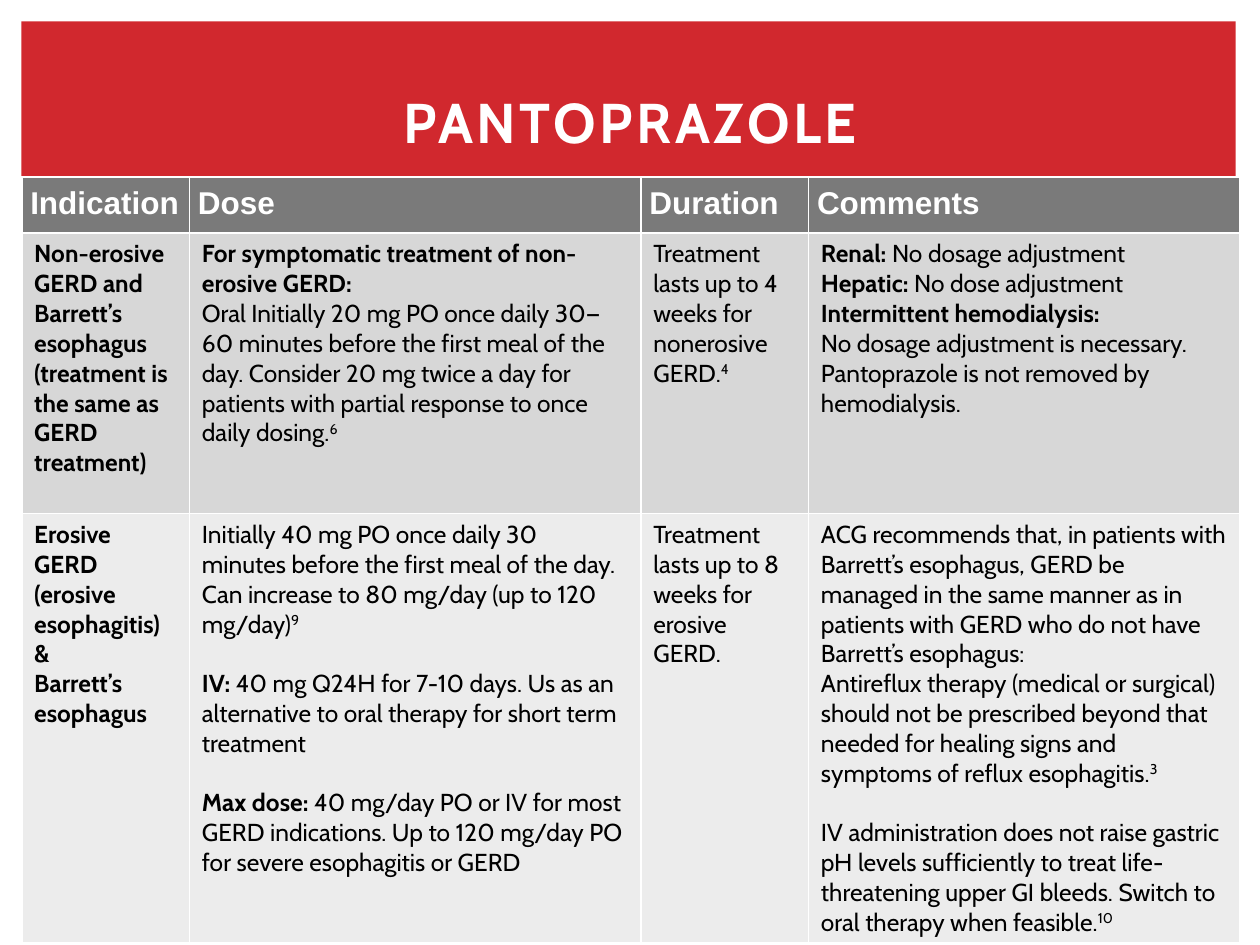
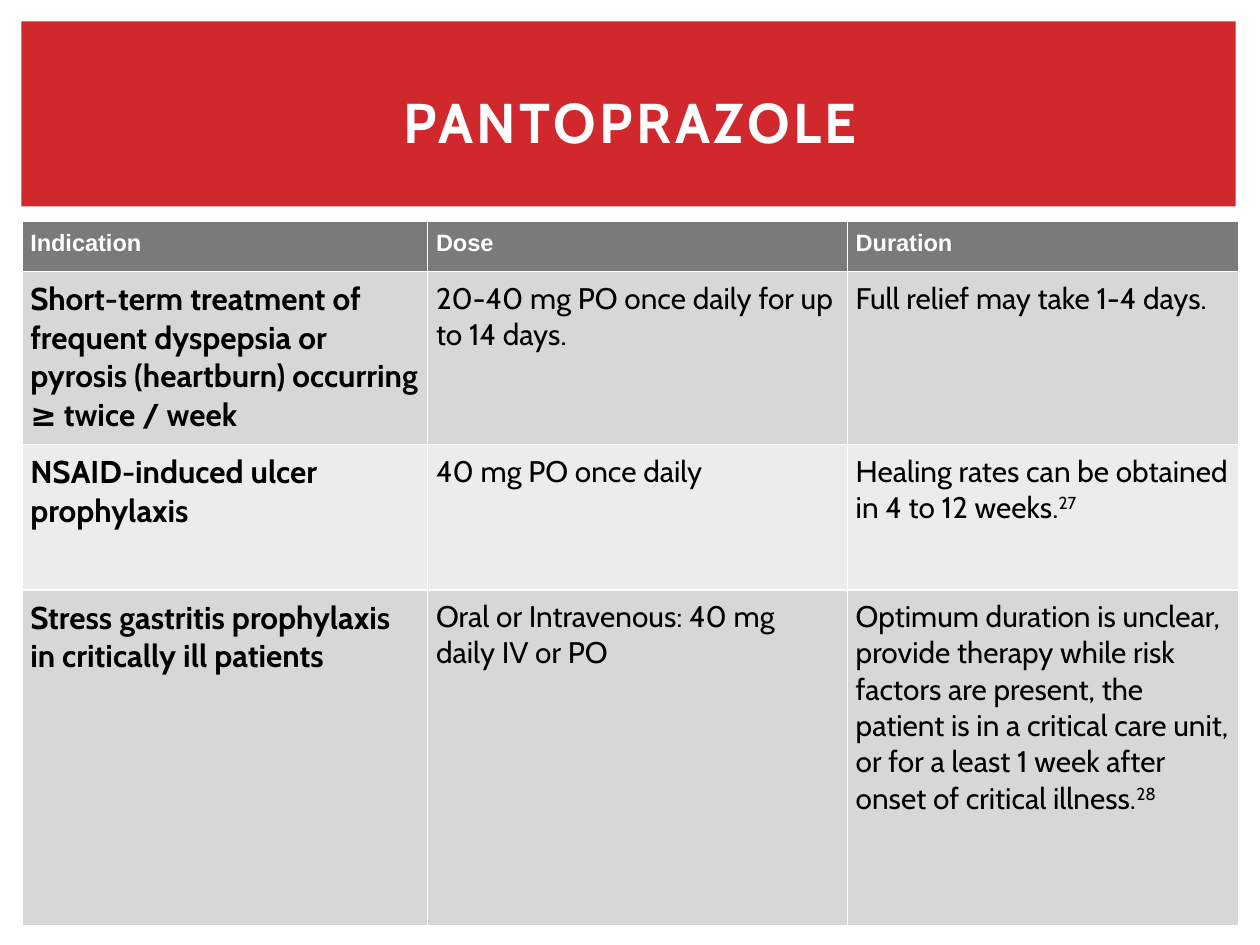
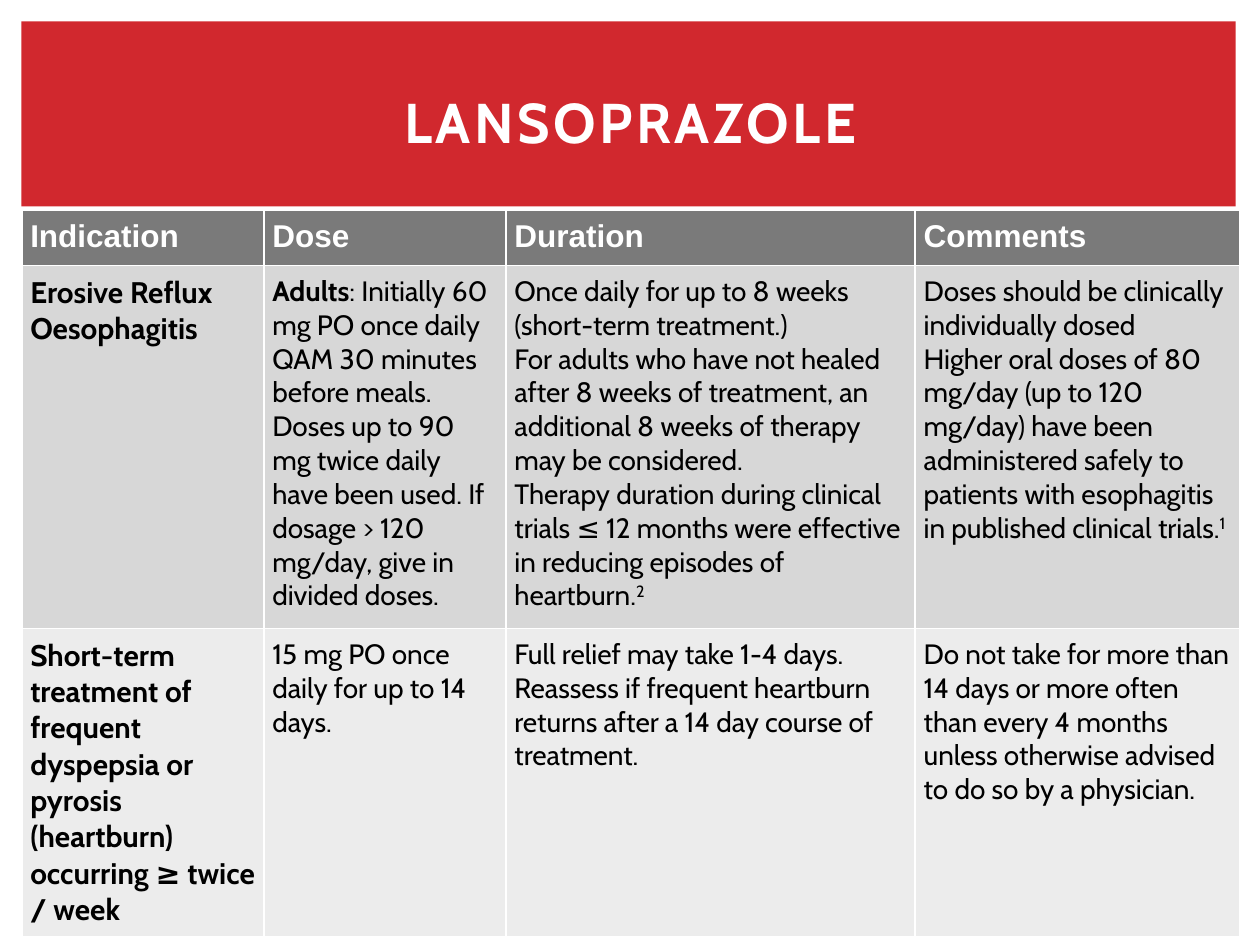
"""Build three slides of dosing tables for two acid-suppressing drugs."""
from lxml import etree
from pptx import Presentation
from pptx import util as u
from pptx.dml.color import RGBColor
from pptx.enum import shapes, text
from pptx.oxml.ns import qn

RED, WHITE, BLACK, GREY = "D1282E", "FFFFFF", "000000", "7A7A7A"
STRIPES = ("D7D7D7", "ECECEC")
HEAD_FONT, BODY_FONT = "Arial", "Cabin"
TABLE_LEFT = 0.44
BOLD, RAISED, GAP = "bold", "raised", "gap"

HEARTBURN = ("Short-term treatment of frequent dyspepsia or pyrosis (heartburn) "
             "occurring ≥ twice / week")

SLIDES = [
    {
        "title": "PANTOPRAZOLE", "top": 3.57,
        "columns": (3.38, 9.1, 3.38, 8.69), "rows": (1.07, 5.66, 8.65),
        "sizes": {"head": 18, "first": 14, "body": 14}, "insets": (0.25, 0.13),
        "head": ("Indication", "Dose", "Duration", "Comments"),
        "body": [
            [
                ["Non-erosive GERD and Barrett’s esophagus (treatment is the same as GERD treatment)"],
                [[("For symptomatic treatment of non-erosive GERD:", BOLD)],
                 ["Oral Initially 20 mg PO once daily 30—60 minutes before the first meal of the "
                  "day. Consider 20 mg twice a day for patients with partial response to once "
                  "daily dosing.", ("6", RAISED)]],
                [["Treatment lasts up to 4 weeks for nonerosive GERD.", ("4", RAISED)]],
                [[("Renal:", BOLD), " No dosage adjustment"],
                 [("Hepatic: ", BOLD), "No dose adjustment"],
                 [("Intermittent hemodialysis:", BOLD)],
                 "No dosage adjustment is necessary. Pantoprazole is not removed by hemodialysis."],
            ],
            [
                ["Erosive\nGERD\n(erosive esophagitis)", "&", "Barrett’s esophagus"],
                [["Initially 40 mg PO once daily 30\nminutes before the first meal of the day. "
                  "Can increase to 80 mg/day (up to 120 mg/day)", ("9", RAISED)],
                 GAP,
                 [("IV: ", BOLD), "40 mg Q24H for 7-10 days. Us as an alternative to oral therapy "
                  "for short term treatment"],
                 GAP,
                 [("Max dose: ", BOLD), "40 mg/day PO or IV for most GERD indications. Up to "
                  "120 mg/day PO for severe esophagitis or GERD"]],
                ["Treatment lasts up to 8 weeks for erosive GERD."],
                ["ACG recommends that, in patients with Barrett’s esophagus, GERD be managed in the "
                 "same manner as in patients with GERD who do not have Barrett’s esophagus:",
                 ["Antireflux therapy (medical or surgical) should not be prescribed beyond that "
                  "needed for healing signs and symptoms of reflux esophagitis.", ("3", RAISED)],
                 GAP,
                 ["IV administration does not raise gastric pH levels sufficiently to treat "
                  "life-threatening upper GI bleeds. Switch to oral therapy when feasible.",
                  ("10", RAISED)]],
            ],
        ],
    },
    {
        "title": "PANTOPRAZOLE", "top": 4.46,
        "columns": (8.18, 8.46, 7.9), "rows": (1.01, 3.49, 2.93, 6.77),
        "sizes": {"head": 13.5, "first": 18, "body": 17}, "insets": (0.17, 0.18),
        "head": ("Indication", "Dose", "Duration"),
        "body": [
            [[HEARTBURN], ["20-40 mg PO once daily for up to 14 days."],
             ["Full relief may take 1-4 days."]],
            [["NSAID-induced ulcer prophylaxis"], ["40 mg PO once daily"],
             [["Healing rates can be obtained in 4 to 12 weeks.", ("27", RAISED)]]],
            [["Stress gastritis prophylaxis in critically ill patients"],
             ["Oral or Intravenous: 40 mg daily IV or PO"],
             [["Optimum duration is unclear, provide therapy while risk factors are present, the "
               "patient is in a critical care unit, or for a least 1 week after onset of critical "
               "illness.", ("28", RAISED)]]],
        ],
    },
    {
        "title": "LANSOPRAZOLE", "top": 4.23,
        "columns": (4.88, 4.88, 8.25, 6.55), "rows": (1.07, 7.32, 6.21),
        "sizes": {"head": 18, "first": 17, "body": 16}, "insets": (0.17, 0.18),
        "head": ("Indication", "Dose", "Duration", "Comments"),
        "body": [
            [
                ["Erosive Reflux Oesophagitis"],
                [[("Adults", BOLD), ": Initially 60 mg PO once daily QAM 30 minutes before meals. "
                  "Doses up to 90 mg twice daily have been used. If dosage > 120 mg/day, give in "
                  "divided doses."]],
                ["Once daily for up to 8 weeks (short-term treatment.)",
                 "For adults who have not healed after 8 weeks of treatment, an additional 8 weeks "
                 "of therapy may be considered.",
                 ["Therapy duration during clinical trials ≤ 12 months were effective in reducing "
                  "episodes of heartburn.", ("2", RAISED)]],
                ["Doses should be clinically individually dosed",
                 ["Higher oral doses of 80 mg/day (up to 120 mg/day) have been administered safely "
                  "to patients with esophagitis in published clinical trials.", ("1", RAISED)]],
            ],
            [
                [HEARTBURN],
                ["15 mg PO once daily for up to 14 days."],
                ["Full relief may take 1-4 days.",
                 "Reassess if frequent heartburn returns after a 14 day course of treatment."],
                ["Do not take for more than 14 days or more often than every 4 months unless "
                 "otherwise advised to do so by a physician."],
            ],
        ],
    },
]


def paint(target, color):
    target.solid()
    target.fore_color.rgb = RGBColor.from_string(color)


def add_span(para, words, font, size, color, bold):
    span = para.add_run()
    span.text = words
    span.font.name, span.font.size, span.font.bold = font, u.Pt(size), bold
    paint(span.font.fill, color)
    return span


def add_title(page, title):
    band = page.shapes.add_shape(shapes.MSO_SHAPE.RECTANGLE,
                                 u.Cm(0.43), u.Cm(0.43), u.Cm(24.48), u.Cm(3.73))
    band.shadow.inherit = False
    paint(band.fill, RED)
    band.line.fill.background()
    box = page.shapes.add_textbox(u.Cm(1.06), u.Cm(0.98), u.Cm(23.3), u.Cm(2.93))
    frame = box.text_frame
    frame.word_wrap = True
    frame.vertical_anchor = text.MSO_ANCHOR.MIDDLE
    para = frame.paragraphs[0]
    para.alignment = text.PP_ALIGN.CENTER
    span = add_span(para, title, BODY_FONT, 32, WHITE, True)
    span.font._element.set("spc", "200")


def style_cell(cell, fill, side, end):
    properties = cell._tc.get_or_add_tcPr()
    for edge in ("lnL", "lnR", "lnT", "lnB"):
        line = etree.SubElement(properties, qn("a:" + edge), w=str(u.Pt(1)))
        solid = etree.SubElement(line, qn("a:solidFill"))
        etree.SubElement(solid, qn("a:srgbClr"), val=WHITE)
    paint(cell.fill, fill)
    cell.margin_left = cell.margin_right = u.Cm(side)
    cell.margin_top = cell.margin_bottom = u.Cm(end)


def fill_cell(cell, paragraphs, font, size, color, bold):
    frame = cell.text_frame
    para, gap = frame.paragraphs[0], False
    for index, content in enumerate(paragraphs):
        if content == GAP:
            gap = True
            continue
        if index:
            para = frame.add_paragraph()
        if gap:
            para.space_before = u.Pt(round(size * 1.215))
            gap = False
        for part in [content] if isinstance(content, str) else content:
            words, style = (part, None) if isinstance(part, str) else part
            for number, line in enumerate(words.split("\n")):
                if number:
                    para.add_line_break()
                span = add_span(para, line, font, size, color, bold or style == BOLD)
                if style == RAISED:
                    span.font._element.set("baseline", "30000")


def add_dosing_table(page, data):
    columns, rows, sizes = data["columns"], data["rows"], data["sizes"]
    table = page.shapes.add_table(len(rows), len(columns), u.Cm(TABLE_LEFT), u.Cm(data["top"]),
                                  u.Cm(sum(columns)), u.Cm(sum(rows))).table
    for column, width in zip(table.columns, columns):
        column.width = u.Cm(width)
    for row, height in zip(table.rows, rows):
        row.height = u.Cm(height)
    for col, label in enumerate(data["head"]):
        cell = table.cell(0, col)
        style_cell(cell, GREY, 0.17, 0.18)
        fill_cell(cell, [label], HEAD_FONT, sizes["head"], WHITE, True)
    for row, entries in enumerate(data["body"]):
        for col, paragraphs in enumerate(entries):
            cell = table.cell(row + 1, col)
            style_cell(cell, STRIPES[row % 2], *data["insets"])
            size = sizes["body" if col else "first"]
            fill_cell(cell, paragraphs, BODY_FONT, size, BLACK, col == 0)


def main():
    deck = Presentation()
    deck.slide_width, deck.slide_height = u.Cm(25.4), u.Cm(19.05)
    for data in SLIDES:
        page = deck.slides.add_slide(deck.slide_layouts[6])
        add_title(page, data["title"])
        add_dosing_table(page, data)
    deck.save("out.pptx")


if __name__ == "__main__":
    main()
